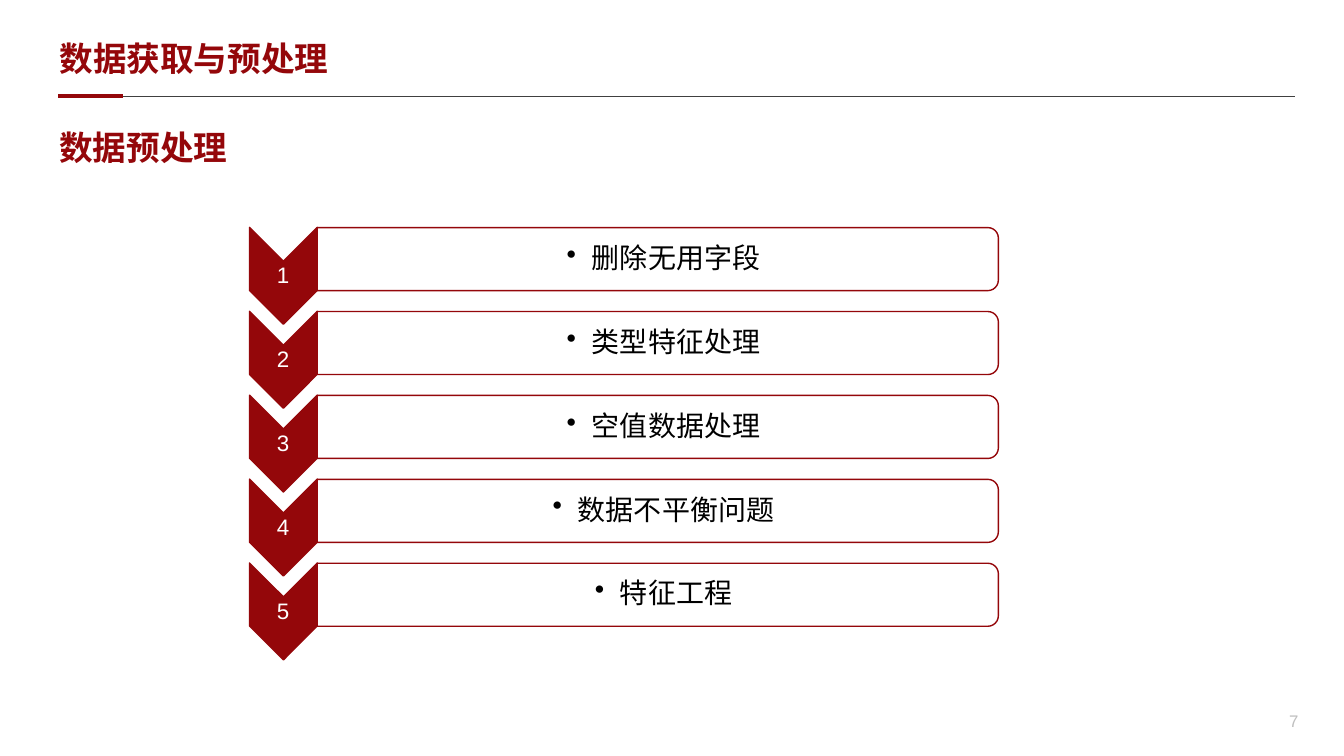
from lxml.etree import SubElement
from pptx import Presentation
from pptx.dml.color import RGBColor
from pptx.enum.shapes import MSO_CONNECTOR, MSO_SHAPE
from pptx.enum.text import MSO_ANCHOR, MSO_AUTO_SIZE, PP_ALIGN
from pptx.oxml.ns import qn
from pptx.util import Pt

COLORS = {"red": "94070A", "rule": "404040", "page": "BFBFBF",
          "white": "FFFFFF", "black": "000000"}
CJK = "Noto Sans CJK SC"
STEPS = ["删除无用字段", "类型特征处理", "空值数据处理", "数据不平衡问题", "特征工程"]
PITCH = 59.94

HEAD = {"size": Pt(24), "bold": True}
GROW = {"auto_size": MSO_AUTO_SIZE.SHAPE_TO_FIT_TEXT,
        "vertical_anchor": MSO_ANCHOR.TOP}
TIGHT = {"word_wrap": True, "vertical_anchor": MSO_ANCHOR.MIDDLE,
         "margin_left": Pt(0.7), "margin_right": Pt(0.7),
         "margin_top": Pt(0.7), "margin_bottom": Pt(0.7)}
CENTER = {"alignment": PP_ALIGN.CENTER, "line_spacing": 0.9}


def color(name):
    return RGBColor.from_string(COLORS[name])


def apply(item, values):
    for key, value in values.items():
        setattr(item, key, value)


def place(shape, box):
    apply(shape, dict(zip(("left", "top", "width", "height"), map(Pt, box))))


def write(shape, text, tint, font, para, frame, face="Arial"):
    body = shape.text_frame
    apply(body, frame)
    line = body.paragraphs[0]
    apply(line, para)
    run = line.add_run()
    run.text = text
    apply(run.font, {"name": face, **font})
    run.font.color.rgb = color(tint)
    SubElement(run.font._element, qn("a:ea"), typeface=CJK)
    return line


def label(slide, box, *style):
    return write(slide.shapes.add_textbox(*map(Pt, box)), *style)


def rule(slide, start, end, y, tint, width):
    line = slide.shapes.add_connector(
        MSO_CONNECTOR.STRAIGHT, Pt(start), Pt(y), Pt(end), Pt(y))
    line.line.color.rgb = color(tint)
    line.line.width = Pt(width)
    SubElement(line._element.spPr, qn("a:effectLst"))


def turned(slide, kind, box, tint):
    shape = slide.shapes.add_shape(kind, *map(Pt, box))
    shape.rotation = 90
    shape.shadow.inherit = False
    shape.fill.solid()
    shape.fill.fore_color.rgb = color(tint)
    shape.line.color.rgb = color("red")
    shape.line.width = Pt(1)
    return shape


def bullet(line):
    props = line._p.get_or_add_pPr()
    props.set("marL", str(Pt(18)))
    props.set("indent", str(Pt(-18)))
    SubElement(props, qn("a:buChar"), char="•")


def step(slide, index, text):
    drop = index * PITCH
    turned(slide, MSO_SHAPE.CHEVRON, (167.8, 172.8 + drop, 69.2, 48.4), "red")
    label(slide, (178, 187 + drop, 48.4, 20.8), str(index + 1), "white",
          {"size": Pt(16)}, CENTER, TIGHT)
    bar = turned(slide, MSO_SHAPE.ROUND_2_SAME_RECTANGLE,
                 (447.3, -58.2 + drop, 45, 486.6), "white")
    tone = bar.fill._xPr.find(".//" + qn("a:srgbClr"))
    SubElement(tone, qn("a:alpha"), val="90000")
    bullet(label(slide, (226.5, 164.7 + drop, 484.4, 41), text, "black",
                 {"size": Pt(20)}, {**CENTER, "level": 1},
                 {**TIGHT, "margin_left": Pt(11.2)}))


def main():
    deck = Presentation()
    apply(deck, {"slide_width": Pt(960), "slide_height": Pt(540)})
    slide = deck.slides.add_slide(deck.slide_layouts[5])
    rule(slide, 58, 925, 68.6, "rule", 0.5)
    rule(slide, 41.8, 88, 68.6, "red", 3)
    title = slide.shapes.title
    place(title, (35.3, 23.8, 363, 36))
    left = {"alignment": PP_ALIGN.LEFT}
    write(title, "数据获取与预处理", "red", HEAD, left,
          {**GROW, "word_wrap": True}, CJK)
    label(slide, (35.3, 87.1, 135.4, 36), "数据预处理", "red", HEAD, left,
          {**GROW, "word_wrap": False})
    label(slide, (718.6, 500.4, 216, 28.8), "7", "page", {"size": Pt(12)},
          {"alignment": PP_ALIGN.RIGHT},
          {"word_wrap": True, "vertical_anchor": MSO_ANCHOR.MIDDLE})
    for index, text in enumerate(STEPS):
        step(slide, index, text)
    deck.save("out.pptx")


if __name__ == "__main__":
    main()
